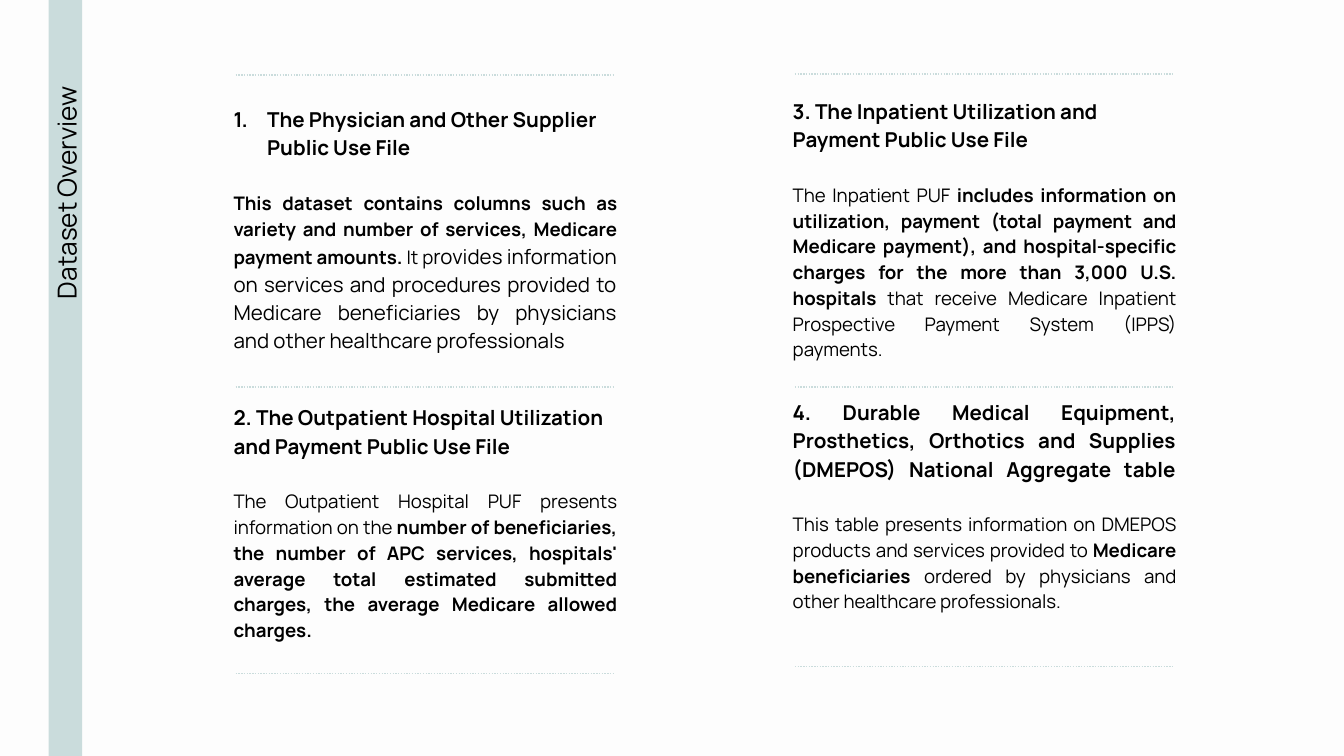
import copy
import pptx
import pptx.dml.color
import pptx.enum.dml
import pptx.enum.shapes
import pptx.enum.text
import pptx.oxml
import pptx.oxml.ns
import pptx.util

Pt = pptx.util.Pt
Align = pptx.enum.text.PP_ALIGN
INK = "000000"
ACCENT = "CADCDC"
HEADING_SIZE = 11
BODY_SIZE = 10
COLUMN_WIDTH = 219.6
RULE_INSET = 8.3
RULE_WIDTH = 203


def color(value):
    return pptx.dml.color.RGBColor.from_string(value)


class SlideBuilder:
    font = "Manrope"
    margin = 7.2
    line_spacing = 1.15
    gap = 15.2

    def __init__(self, slide):
        self.slide = slide
        fill = slide.background.fill
        fill.solid()
        fill.fore_color.rgb = color("FDFDFD")

    def run(self, paragraph, text, size, bold=False):
        run = paragraph.add_run()
        run.text = text
        run.font.name = self.font
        run.font.size = Pt(size)
        run.font.bold = bold
        run.font.color.rgb = color(INK)
        return run

    def frame(self, shape):
        frame = shape.text_frame
        frame.word_wrap = True
        frame.auto_size = pptx.enum.text.MSO_AUTO_SIZE.NONE
        frame.margin_left = frame.margin_right = Pt(self.margin)
        frame.margin_top = frame.margin_bottom = Pt(self.margin)
        return frame

    def title(self, text, left, top, width, height):
        shape = self.slide.shapes.title
        shape.left, shape.top = Pt(left), Pt(top)
        shape.width, shape.height = Pt(width), Pt(height)
        shape.rotation = 270
        frame = self.frame(shape)
        frame.vertical_anchor = pptx.enum.text.MSO_ANCHOR.MIDDLE
        frame.paragraphs[0].alignment = Align.RIGHT
        self.run(frame.paragraphs[0], text, 14)

    def band(self, left, top, width, height):
        shapes = self.slide.shapes
        shape = shapes.add_shape(
            pptx.enum.shapes.MSO_SHAPE.RECTANGLE, Pt(left), Pt(top), Pt(width), Pt(height))
        shape.shadow.inherit = False
        shape.fill.solid()
        shape.fill.fore_color.rgb = color(ACCENT)
        shape.line.fill.background()
        shapes._spTree.insert(2, shape._element)

    def rule(self, left, top, width):
        connector = self.slide.shapes.add_connector(
            pptx.enum.shapes.MSO_CONNECTOR.STRAIGHT,
            Pt(left), Pt(top), Pt(left + width), Pt(top))
        connector.line.color.rgb = color(ACCENT)
        connector.line.width = Pt(0.75)
        connector.line.dash_style = pptx.enum.dml.MSO_LINE.ROUND_DOT
        properties = connector._element.spPr
        properties.append(properties.makeelement(pptx.oxml.ns.qn("a:effectLst"), {}))

    def number(self, paragraph):
        properties = paragraph._p.get_or_add_pPr()
        properties.set("marL", str(Pt(18)))
        properties.set("indent", str(-Pt(18)))
        properties.append(properties.makeelement(
            pptx.oxml.ns.qn("a:buAutoNum"), {"type": "arabicPeriod"}))

    def line_break(self, paragraph, run):
        paragraph.add_line_break()
        paragraph._p[-1].append(copy.deepcopy(run._r.rPr))

    def section(self, heading, body, left, top, width, height,
                numbered=False, justified=False):
        frame = self.frame(self.slide.shapes.add_textbox(
            Pt(left), Pt(top), Pt(width), Pt(height)))
        paragraph = frame.paragraphs[0]
        paragraph.line_spacing = self.line_spacing
        paragraph.alignment = Align.JUSTIFY if justified else Align.LEFT
        if numbered:
            self.number(paragraph)
        heading_run = self.run(paragraph, heading, HEADING_SIZE, True)
        if justified:
            for _ in range(2):
                self.line_break(paragraph, heading_run)
        else:
            paragraph = frame.add_paragraph()
            paragraph.alignment = Align.JUSTIFY
            paragraph.line_spacing = self.line_spacing
            paragraph.space_before = Pt(self.gap)
        for text, size, bold in body:
            self.run(paragraph, text, size, bold)


PHYSICIAN = [
    ("This dataset contains columns such as variety and number of services, "
     "Medicare payment amounts. ", BODY_SIZE, True),
    ("It p", BODY_SIZE, False),
    ("rovides information on services and procedures provided to Medicare "
     "beneficiaries by physicians and other healthcare professionals", HEADING_SIZE, False),
]
OUTPATIENT = [
    ("The Outpatient Hospital PUF presents information on the", BODY_SIZE, False),
    (" number of beneficiaries, the number of APC services, hospitals' average total "
     "estimated submitted charges, the average Medicare allowed charges.", BODY_SIZE, True),
]
INPATIENT = [
    ("The Inpatient PUF ", BODY_SIZE, False),
    ("includes information on utilization, payment (total payment and Medicare payment), "
     "and hospital-specific charges for the more than 3,000 U.S. hospitals", BODY_SIZE, True),
    (" that receive Medicare Inpatient Prospective Payment System (IPPS) payments.",
     BODY_SIZE, False),
]
EQUIPMENT = [
    ("This table presents information on DMEPOS products and services provided to ",
     BODY_SIZE, False),
    ("Medicare beneficiaries", BODY_SIZE, True),
    (" ordered by physicians and other healthcare professionals.", BODY_SIZE, False),
]
COLUMNS = [
    (118, (40.3, 207.4, 360.7), [
        ("The Physician and Other Supplier Public Use File", PHYSICIAN,
         48.2, 149, {"numbered": True}),
        ("2. The Outpatient Hospital Utilization and Payment Public Use File", OUTPATIENT,
         208.1, 149, {}),
    ]),
    (417.6, (39.6, 207.4, 357.1), [
        ("3. The Inpatient Utilization and Payment Public Use File", INPATIENT,
         43.9, 154, {}),
        ("4. Durable Medical Equipment, Prosthetics, Orthotics and Supplies (DMEPOS) "
         "National Aggregate table", EQUIPMENT, 205.2, 175.7, {"justified": True}),
    ]),
]


def main():
    presentation = pptx.Presentation()
    presentation.slide_width = Pt(720)
    presentation.slide_height = Pt(405)
    slide = presentation.slides.add_slide(presentation.slide_layouts[5])
    builder = SlideBuilder(slide)
    builder.band(26, -3.6, 18, 412.6)
    builder.title("Dataset Overview", -134, 200.2, 339, 16.6)
    for left, rule_tops, sections in COLUMNS:
        for top in rule_tops:
            builder.rule(left + RULE_INSET, top, RULE_WIDTH)
        for heading, body, top, height, options in sections:
            builder.section(heading, body, left, top, COLUMN_WIDTH, height, **options)
    presentation.save("out.pptx")


if __name__ == "__main__":
    main()
